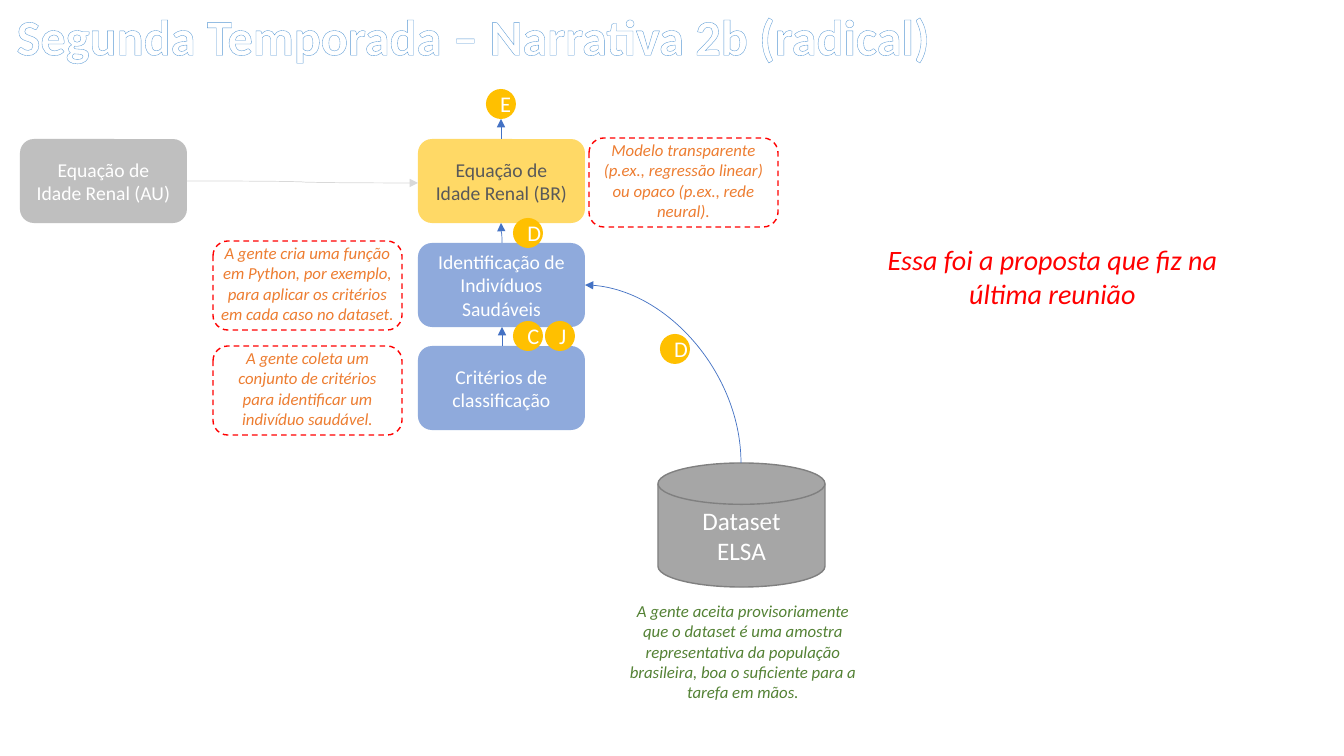
import pptx
import pptx.util
import pptx.dml.color
import pptx.enum.dml
import pptx.enum.shapes
import pptx.enum.text
import pptx.oxml
import pptx.oxml.ns

RGB = pptx.dml.color.RGBColor
SHAPE = pptx.enum.shapes.MSO_SHAPE
PX = 914400 / 100.8
FONT = "Calibri"

WHITE = RGB(0xFF, 0xFF, 0xFF)
TITLE_BLUE = RGB(0x9D, 0xC3, 0xE6)
BOX_BLUE = RGB(0x8F, 0xAA, 0xDC)
ARROW_BLUE = RGB(0x44, 0x72, 0xC4)
YELLOW = RGB(0xFF, 0xD9, 0x66)
AMBER = RGB(0xFF, 0xC0, 0x00)
ORANGE = RGB(0xED, 0x7D, 0x31)
RED = RGB(0xFF, 0x00, 0x00)
GREEN = RGB(0x54, 0x82, 0x35)
DARK_GREY = RGB(0x59, 0x59, 0x59)
EDGE_GREY = RGB(0x80, 0x80, 0x80)
DISK_GREY = RGB(0xA6, 0xA6, 0xA6)
BOX_GREY = RGB(0xBF, 0xBF, 0xBF)
PALE_GREY = RGB(0xD9, 0xD9, 0xD9)

# Content: lengths in px
TITLE = "Segunda Temporada – Narrativa 2b (radical)"
DATASET = ["Dataset", "ELSA"]
DATASET_AREA = (658, 463, 167, 124)

BOX_SIZE = (167, 84)
BOXES = [  # text, left, top, fill, text colour
    ("Critérios de classificação", 418, 346, BOX_BLUE, WHITE),
    ("Identificação de Indivíduos Saudáveis", 418, 243, BOX_BLUE, WHITE),
    ("Equação de Idade Renal (BR)", 418, 139, YELLOW, DARK_GREY),
    ("Equação de Idade Renal (AU)", 20, 139, BOX_GREY, WHITE),
]

UP_ARROWS = [  # start, end, preset
    ((502, 243), (501, 223), "curvedConnector3"),
    ((502, 346), (502, 327), "curvedConnector3"),
    ((501, 139), (501, 119), "curvedConnector3"),
    ((741, 463), (585, 285), "curvedConnector2"),
]
SIDE_ARROW = ((187, 181), (418, 183))

FRAME_SIZE = (189, 89)
FRAMED_NOTES = [  # text, frame left, frame top, text overhang on each side
    ("A gente coleta um conjunto de critérios para identificar um indivíduo saudável.",
     213, 346, 0),
    ("A gente cria uma função em Python, por exemplo, para aplicar os critérios "
     "em cada caso no dataset.", 213, 241, 5),
    ("Modelo transparente (p.ex., regressão linear) ou opaco (p.ex., rede neural).",
     589, 138, 5),
]
FREE_NOTES = [  # text, area, size, colour
    ("A gente aceita provisoriamente que o dataset é uma amostra representativa "
     "da população brasileira, boa o suficiente para a tarefa em mãos.",
     (613, 596, 260, 112), 12, GREEN),
    ("Essa foi a proposta que fiz na última reunião", (839, 238, 427, 78), 20, RED),
]

BADGE = 30
BADGES = [("J", 545, 321), ("C", 513, 321), ("D", 513, 218), ("E", 486, 89), ("D", 660, 334)]


def emu(*lengths):
    return [round(length * PX) for length in lengths]


def write(shape, lines, size, colour, italic=False):
    frame = shape.text_frame
    frame.word_wrap = True
    frame.text = "\n".join(lines)
    for paragraph in frame.paragraphs:
        paragraph.alignment = pptx.enum.text.PP_ALIGN.CENTER
        font = paragraph.font
        font.name, font.size, font.italic = FONT, pptx.util.Pt(size), italic
        font.color.rgb = colour


def add_shape(kind, area, fill=None, line=None):
    shape = slide.shapes.add_shape(kind, *emu(*area))
    shape.shadow.inherit = False
    if fill is None:
        shape.fill.background()
    else:
        shape.fill.solid()
        shape.fill.fore_color.rgb = fill
    if line is None:
        shape.line.fill.background()
    else:
        shape.line.color.rgb = line
        shape.line.width = pptx.util.Pt(1)
    shape.text_frame.vertical_anchor = pptx.enum.text.MSO_ANCHOR.MIDDLE
    return shape


def add_note(text, area, size, colour):
    write(slide.shapes.add_textbox(*emu(*area)), [text], size, colour, italic=True)


def add_arrow(start, end, colour):
    connector = slide.shapes.add_connector(
        pptx.enum.shapes.MSO_CONNECTOR.CURVE, *emu(*start, *end))
    connector.line.color.rgb = colour
    connector.line.width = pptx.util.Pt(0.5)
    properties = connector.element.spPr
    tail = pptx.oxml.ns.qn("a:tailEnd")
    connector.line._get_or_add_ln().append(properties.makeelement(tail, {"type": "triangle"}))
    properties.append(properties.makeelement(pptx.oxml.ns.qn("a:effectLst"), {}))
    return connector


def add_up_arrow(start, end, preset):
    # A quarter turn makes the curve leave its start vertically
    (x1, y1), (x2, y2) = start, end
    middle_x, middle_y = (x1 + x2) / 2, (y1 + y2) / 2
    half_width, half_height = (y1 - y2) / 2, (x1 - x2) / 2
    connector = add_arrow((middle_x - half_width, middle_y + half_height),
                          (middle_x + half_width, middle_y - half_height), ARROW_BLUE)
    properties = connector.element.spPr
    transform = properties.find(pptx.oxml.ns.qn("a:xfrm"))
    transform.set("rot", str(270 * 60000))
    transform.set("flipV", "1")
    properties.find(pptx.oxml.ns.qn("a:prstGeom")).set("prst", preset)


presentation = pptx.Presentation()
presentation.slide_width, presentation.slide_height = emu(1344, 756)
slide = presentation.slides.add_slide(presentation.slide_layouts[6])

# Title with patterned, outlined letters
title = slide.shapes.add_textbox(*emu(0, 0, 947, 72))
write(title, [TITLE], 36, TITLE_BLUE)
title.text_frame.word_wrap = False
title_font = title.text_frame.paragraphs[0].runs[0].font
title_font.name, title_font.size, title_font.bold = FONT, pptx.util.Pt(36), True
title_font.fill.patterned()
title_font.fill.pattern = pptx.enum.dml.MSO_PATTERN.LIGHT_DOWNWARD_DIAGONAL
title_font.fill.fore_color.rgb = TITLE_BLUE
title_font.fill.back_color.rgb = WHITE
outline = pptx.oxml.parse_xml(
    f'<a:ln {pptx.oxml.ns.nsdecls("a")} w="12700"><a:solidFill>'
    '<a:srgbClr val="5B9BD5"/></a:solidFill></a:ln>')
title.text_frame.paragraphs[0].runs[0].font._rPr.insert(0, outline)

# Dataset and process boxes
disk = add_shape(SHAPE.FLOWCHART_MAGNETIC_DISK, DATASET_AREA, DISK_GREY, EDGE_GREY)
write(disk, DATASET, 18, WHITE)
for text, left, top, fill, colour in BOXES:
    box = add_shape(SHAPE.ROUNDED_RECTANGLE, (left, top, *BOX_SIZE), fill)
    write(box, [text], 14, colour)

# Arrows
for start, end, preset in UP_ARROWS:
    add_up_arrow(start, end, preset)
add_arrow(*SIDE_ARROW, PALE_GREY)

# Notes
for text, left, top, overhang in FRAMED_NOTES:
    width, height = FRAME_SIZE
    add_note(text, (left - overhang, top - 3, width + 2 * overhang, height + 3), 12, ORANGE)
    frame = add_shape(SHAPE.ROUNDED_RECTANGLE, (left, top, width, height), line=RED)
    frame.line.dash_style = pptx.enum.dml.MSO_LINE.DASH
for note in FREE_NOTES:
    add_note(*note)

# Letter badges
for letter, left, top in BADGES:
    write(add_shape(SHAPE.OVAL, (left, top, BADGE, BADGE), AMBER), [letter], 16, WHITE)

presentation.save("out.pptx")
